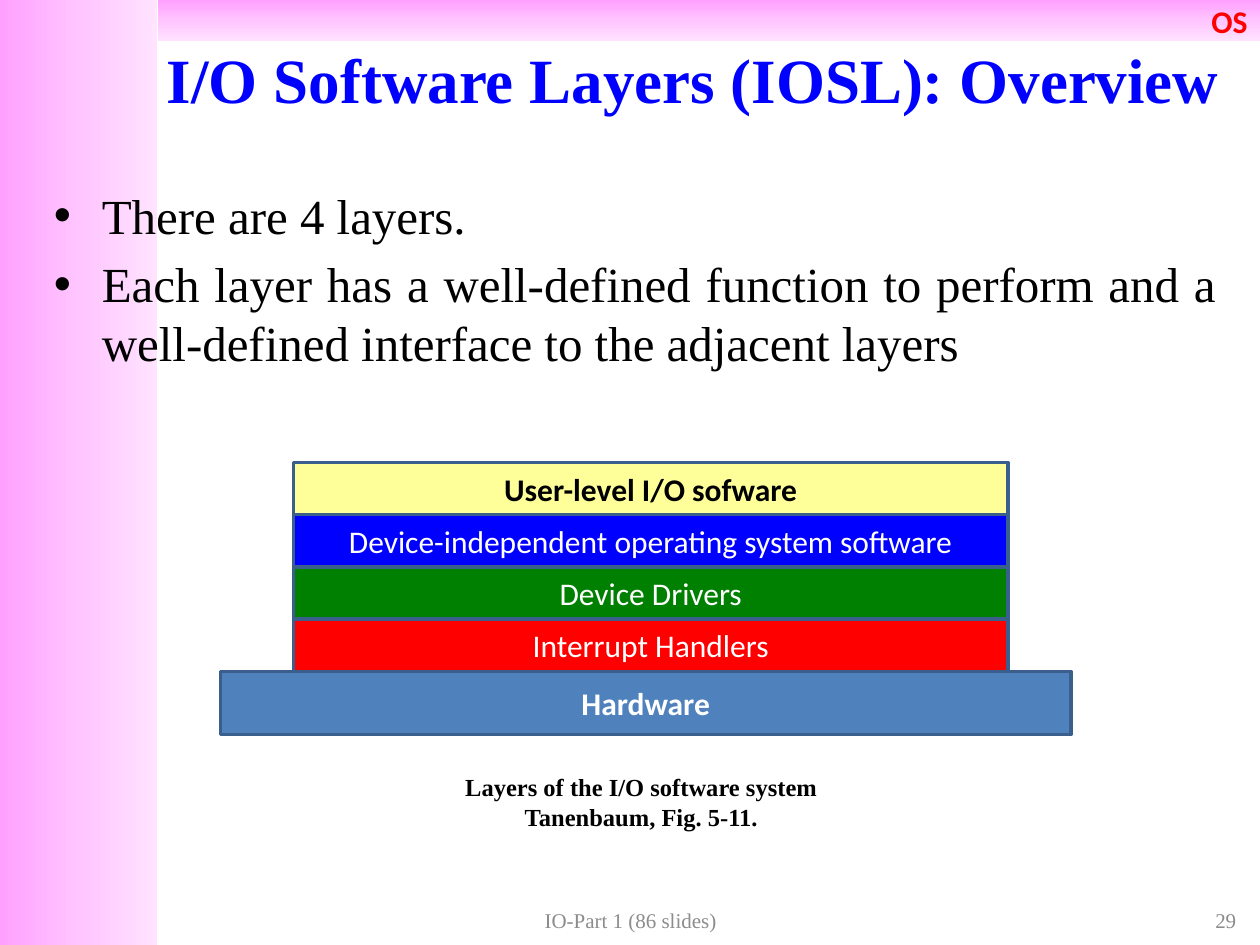
from copy import deepcopy

from lxml.etree import SubElement
from pptx import Presentation
from pptx.dml.color import RGBColor
from pptx.enum.shapes import MSO_SHAPE
from pptx.enum.text import MSO_ANCHOR, MSO_AUTO_SIZE, PP_ALIGN
from pptx.oxml.ns import qn
from pptx.util import Inches, Pt

BLACK = RGBColor(0x00, 0x00, 0x00)
WHITE = RGBColor(0xFF, 0xFF, 0xFF)
RED = RGBColor(0xFF, 0x00, 0x00)
GREEN = RGBColor(0x00, 0x80, 0x00)
BLUE = RGBColor(0x00, 0x00, 0xFF)
YELLOW = RGBColor(0xFF, 0xFF, 0x99)
STEEL = RGBColor(0x4F, 0x81, 0xBD)
OUTLINE = RGBColor(0x3A, 0x5F, 0x8C)
GREY = RGBColor(0x8C, 0x8C, 0x8C)
PINKS = [RGBColor(0xFF, 0xA0, 0xFF), RGBColor(0xFF, 0xC5, 0xFF), RGBColor(0xFF, 0xE3, 0xFF)]
SERIF, SANS = "Times New Roman", "Calibri"


def write(shape, lines, size, font, color, align, bold=False, anchor=MSO_ANCHOR.MIDDLE, wrap=True):
    frame = shape.text_frame
    frame.text = "\n".join(lines)
    frame.word_wrap = wrap
    frame.vertical_anchor = anchor
    for paragraph in frame.paragraphs:
        paragraph.alignment = align
        for run in paragraph.runs:
            run.font.size = Pt(size)
            run.font.name = font
            run.font.bold = bold
            run.font.color.rgb = color
    return frame


def add_rectangle(slide, left, top, width, height):
    rectangle = slide.shapes.add_shape(
        MSO_SHAPE.RECTANGLE, Inches(left), Inches(top), Inches(width), Inches(height))
    rectangle.shadow.inherit = False
    return rectangle


def add_text(slide, left, top, width, height):
    return slide.shapes.add_textbox(Inches(left), Inches(top), Inches(width), Inches(height))


def add_band(slide, left, top, width, height, angle):
    """Pink gradient band, placed behind the title."""
    band = add_rectangle(slide, left, top, width, height)
    band.line.fill.background()
    band.fill.gradient()
    band.fill.gradient_angle = angle
    first_stop = band.element.spPr.find(".//" + qn("a:gs"))
    first_stop.addnext(deepcopy(first_stop))
    for stop, position, color in zip(band.fill.gradient_stops, (0, 0.5, 1), PINKS):
        stop.position = position
        stop.color.rgb = color
    slide.shapes.title.element.addprevious(band.element)
    return band


def add_title(slide, left, top, width, height):
    title = slide.shapes.title
    title.left, title.top = Inches(left), Inches(top)
    title.width, title.height = Inches(width), Inches(height)
    write(title, ["I/O Software Layers (IOSL): Overview"], 36, SERIF, BLUE, PP_ALIGN.CENTER, True)


def add_points(slide, left, top, width, height):
    points = write(
        add_text(slide, left, top, width, height),
        ["There are 4 layers.",
         "Each layer has a well-defined function to perform and a "
         "well-defined interface to the adjacent layers"],
        28, SERIF, BLACK, PP_ALIGN.JUSTIFY, anchor=MSO_ANCHOR.TOP)
    for paragraph in points.paragraphs:
        paragraph.space_before = Pt(5.6)
        properties = paragraph._p.get_or_add_pPr()
        properties.set("marL", str(Inches(0.38)))
        properties.set("indent", str(-Inches(0.38)))
        SubElement(properties, qn("a:buFont"), typeface="Arial")
        SubElement(properties, qn("a:buChar"), char="•")


def add_layer(slide, left, top, width, height, name, fill, color, bold):
    layer = add_rectangle(slide, left, top, width, height)
    layer.fill.solid()
    layer.fill.fore_color.rgb = fill
    layer.line.color.rgb = OUTLINE
    layer.line.width = Pt(2)
    write(layer, [name], 18, SANS, color, PP_ALIGN.CENTER, bold)


def add_layer_stack(slide, left, top, width, height):
    """Four software layers standing on a wider hardware base."""
    base_height = 0.5
    step = (height - base_height) / 4
    add_layer(slide, left, top + 4 * step, width, base_height, "Hardware", STEEL, WHITE, True)
    layers = [
        ("User-level I/O sofware", YELLOW, BLACK, True),
        ("Device-independent operating system software", BLUE, WHITE, False),
        ("Device Drivers", GREEN, WHITE, False),
        ("Interrupt Handlers", RED, WHITE, False),
    ]
    # Lower layers first, so that each one overlaps the outline below it
    for level, layer in reversed(list(enumerate(layers))):
        add_layer(slide, left + 0.58, top + level * step, 5.67, step, *layer)


def add_caption(slide, left, top, width, height):
    caption = write(
        add_text(slide, left, top, width, height),
        ["Layers of the I/O software system", "Tanenbaum, Fig. 5-11."],
        14, SERIF, BLACK, PP_ALIGN.CENTER, True, MSO_ANCHOR.TOP, wrap=False)
    caption.auto_size = MSO_AUTO_SIZE.SHAPE_TO_FIT_TEXT


def add_footer(slide, top, height):
    for left, width, text, align in (
            (3.42, 3.17, "IO-Part 1 (86 slides)", PP_ALIGN.CENTER),
            (7.58, 2.33, "29", PP_ALIGN.RIGHT)):
        write(add_text(slide, left, top, width, height), [text], 12, SERIF, GREY, align)


presentation = Presentation()
presentation.slide_width, presentation.slide_height = Inches(10), Inches(7.5)
slide = presentation.slides.add_slide(presentation.slide_layouts[5])

# Background bands
add_band(slide, 0, 0, 1.25, 7.5, 0)
course_band = add_band(slide, 1.25, 0, 8.75, 0.33, 270)
write(course_band, ["OS"], 18, SANS, RED, PP_ALIGN.RIGHT, True)

# Content
add_title(slide, 1, 0, 9, 1.25)
add_points(slide, 0.33, 1.42, 9.42, 1.67)
add_caption(slide, 3.58, 6.08, 3.02, 0.57)
add_layer_stack(slide, 1.75, 3.67, 6.75, 2.16)
add_footer(slide, 7.17, 0.27)

presentation.save("out.pptx")
